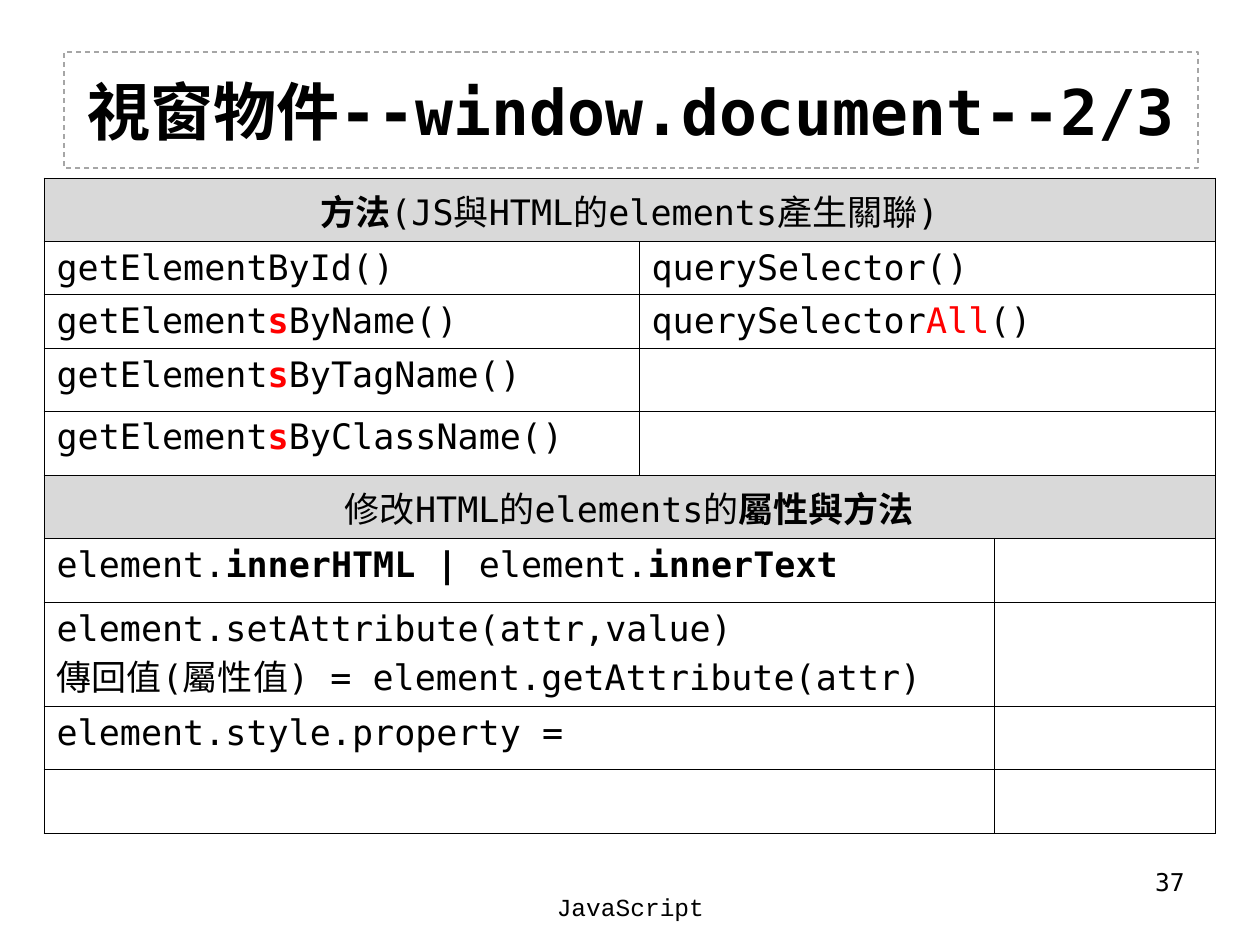
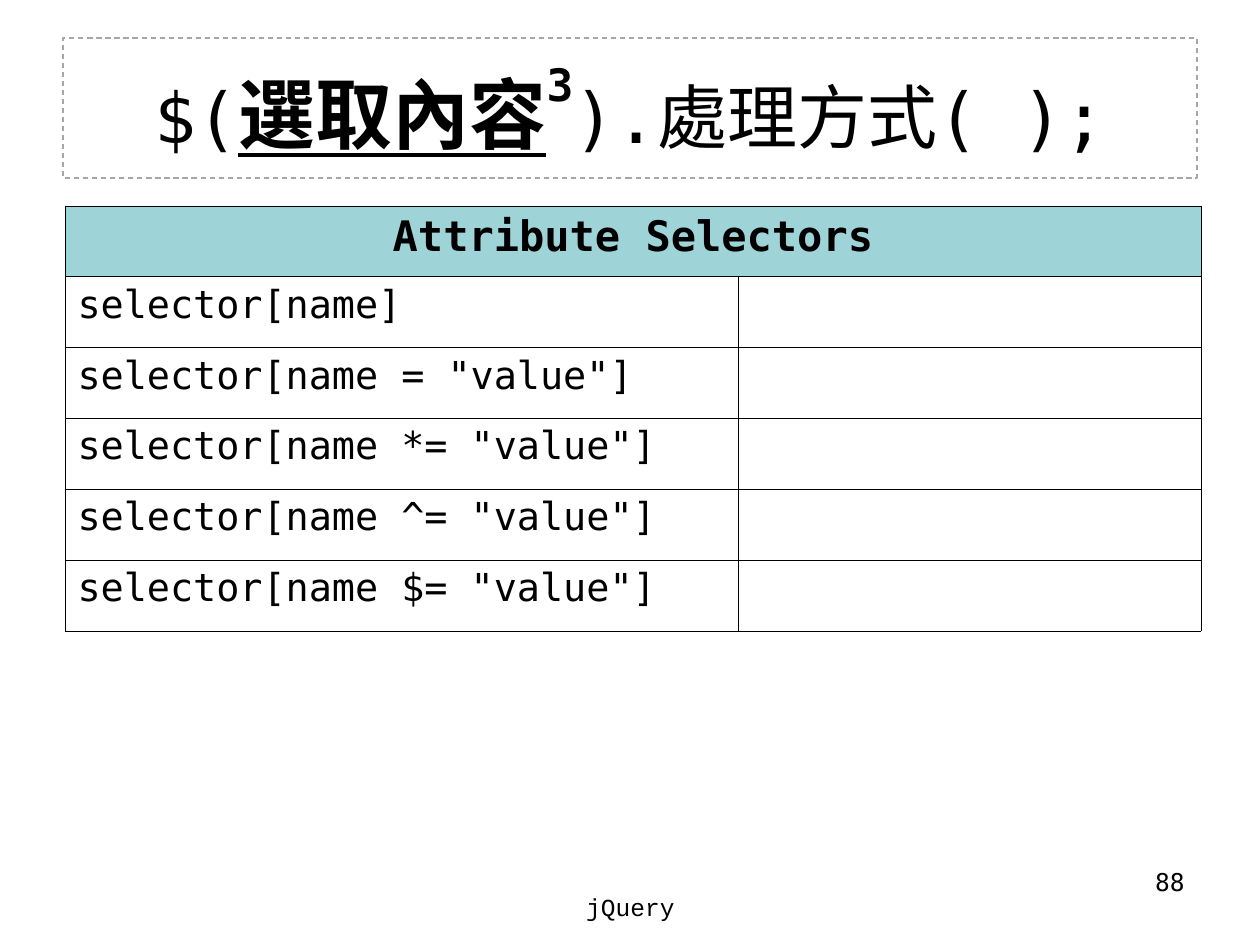
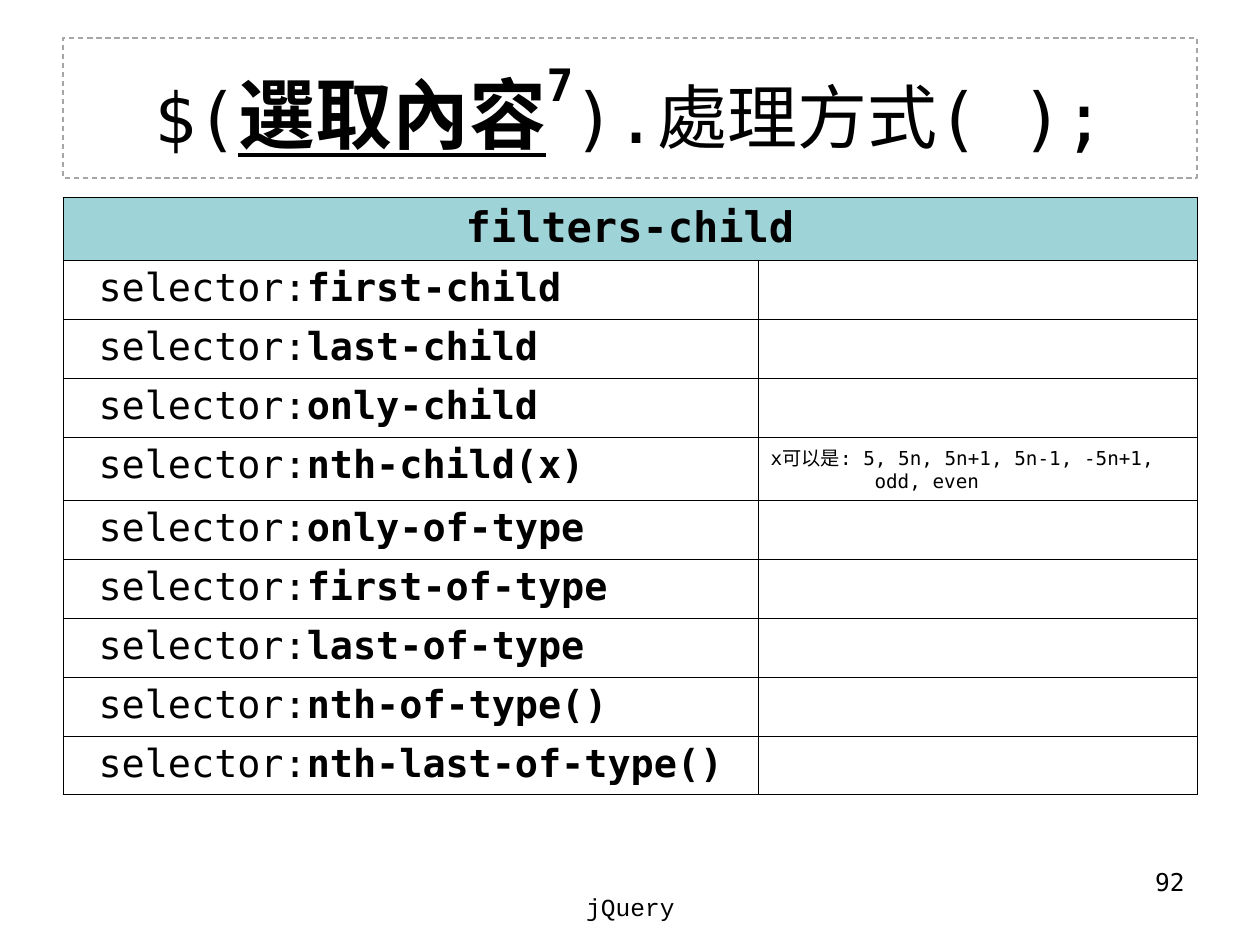
from collections import namedtuple

from pptx import Presentation
from pptx.dml.color import RGBColor
from pptx.enum.dml import MSO_LINE
from pptx.enum.text import MSO_ANCHOR, MSO_AUTO_SIZE, PP_ALIGN
from pptx.oxml import parse_xml
from pptx.oxml.ns import nsdecls
from pptx.util import Pt

PX = 914400 // 126
MONO = "DejaVu Sans Mono"
COURIER = "Courier New"
BLACK = RGBColor(0x00, 0x00, 0x00)
RED = RGBColor(0xFF, 0x00, 0x00)
DASH_GRAY = RGBColor(0xA6, 0xA6, 0xA6)
SECTION_GRAY = RGBColor(0xD9, 0xD9, 0xD9)
HEADER_TEAL = RGBColor(0x9E, 0xD3, 0xD7)
BORDER_WIDTH = Pt(0.45)

Run = namedtuple("Run", "text bold color size underline raised",
                 defaults=(False, BLACK, None, False, None))
Row = namedtuple("Row", "cells split fill", defaults=(1, None))


def px(*lengths):
    return [length * PX for length in lengths]


def write_paragraph(paragraph, runs, size, align=PP_ALIGN.LEFT, font=MONO, indent=0):
    paragraph.alignment = align
    if indent:
        properties = paragraph._p.get_or_add_pPr()
        properties.set("marL", str(indent * PX))
        properties.set("indent", "0")
    paragraph.font.name = font
    paragraph.font.size = Pt(size)
    for part in runs:
        run = paragraph.add_run()
        run.text = part.text
        run.font.name = font
        run.font.size = Pt(part.size or size)
        run.font.bold = part.bold
        run.font.underline = part.underline
        run.font.color.rgb = part.color
        if part.raised:
            run._r.get_or_add_rPr().set("baseline", str(part.raised * 1000))


def add_title(slide, box, runs, size):
    title = slide.shapes.title
    title.left, title.top, title.width, title.height = px(*box)
    title.line.color.rgb = DASH_GRAY
    title.line.width = Pt(0.75)
    title.line.dash_style = MSO_LINE.DASH
    frame = title.text_frame
    frame.auto_size = MSO_AUTO_SIZE.NONE
    frame.word_wrap = True
    frame.vertical_anchor = MSO_ANCHOR.MIDDLE
    write_paragraph(frame.paragraphs[0], runs, size, PP_ALIGN.CENTER)


def add_selector_title(slide, number):
    add_title(slide, (63, 38, 1134, 140), [
        Run("$("),
        Run("選取內容", bold=True, size=44, underline=True),
        Run(number, bold=True, size=44, raised=54),
        Run(").處理方式( );"),
    ], 40)


def add_label(slide, box, text, align, font):
    label = slide.shapes.add_textbox(*px(*box))
    label.text_frame.word_wrap = True
    write_paragraph(label.text_frame.paragraphs[0], [Run(text)], 14, align, font)


def add_footer(slide, page, topic):
    add_label(slide, (903, 861, 294, 66), page, PP_ALIGN.RIGHT, MONO)
    add_label(slide, (431, 886, 399, 63), topic, PP_ALIGN.CENTER, COURIER)


def style_cell(cell, fill):
    properties = cell._tc.get_or_add_tcPr()
    for side in ("lnL", "lnR", "lnT", "lnB"):
        properties.append(parse_xml(
            f'<a:{side} {nsdecls("a")} w="{BORDER_WIDTH}"><a:solidFill>'
            f'<a:srgbClr val="{BLACK}"/></a:solidFill></a:{side}>'))
    if fill is None:
        cell.fill.background()
    else:
        cell.fill.solid()
        cell.fill.fore_color.rgb = fill


def add_grid(slide, left, top, widths, heights, rows, size, header_size, indent=0):
    box = px(left, top, sum(widths), sum(heights))
    table = slide.shapes.add_table(len(heights), len(widths), *box).table
    for column, width in zip(table.columns, widths):
        column.width = width * PX
    last = len(widths) - 1
    for r, (row, height) in enumerate(zip(rows, heights)):
        table.rows[r].height = height * PX
        for c in range(len(widths)):
            style_cell(table.cell(r, c), row.fill)
        if row.fill is not None:
            spans = [(0, last)]
        else:
            spans = [(0, row.split - 1), (row.split, last)]
        for first, end in spans:
            if end > first:
                table.cell(r, first).merge(table.cell(r, end))
        for (first, _), lines in zip(spans, row.cells):
            frame = table.cell(r, first).text_frame
            for i, runs in enumerate(lines):
                paragraph = frame.add_paragraph() if i else frame.paragraphs[0]
                if row.fill is not None:
                    write_paragraph(paragraph, runs, header_size, PP_ALIGN.CENTER)
                else:
                    write_paragraph(paragraph, runs, size, indent=indent)
    return table


def header_row(*runs, fill=HEADER_TEAL):
    return Row([[runs]], fill=fill)


def elements_by(kind):
    return [[Run("getElement"), Run("s", bold=True, color=RED), Run(f"By{kind}()")]]


def element_row(*lines):
    return Row([lines], split=2)


def build_document_slide(slide):
    add_title(slide, (64, 52, 1134, 116),
              [Run("視窗物件--window.document--2/3", bold=True)], 36)
    rows = [
        header_row(Run("方法", bold=True), Run("(JS與HTML的elements產生關聯)"),
                   fill=SECTION_GRAY),
        Row([[[Run("getElementById()")]], [[Run("querySelector()")]]]),
        Row([elements_by("Name"),
             [[Run("querySelector"), Run("All", color=RED), Run("()")]]]),
        Row([elements_by("TagName")]),
        Row([elements_by("ClassName")]),
        header_row(Run("修改HTML的elements的"), Run("屬性與方法", bold=True),
                   fill=SECTION_GRAY),
        element_row([Run("element."), Run("innerHTML | ", bold=True),
                     Run("element."), Run("innerText", bold=True)]),
        element_row([Run("element.setAttribute(attr,value)")],
                    [Run("傳回值(屬性值) = element.getAttribute(attr)")]),
        element_row([Run("element.style.property =")]),
        element_row(),
    ]
    heights = [63, 53, 53, 63, 64, 63, 64, 104, 63, 64]
    add_grid(slide, 44, 178, [595, 355, 221], heights, rows, 20, 20)
    add_footer(slide, "37", "JavaScript")


def build_attribute_slide(slide):
    add_selector_title(slide, "3")
    conditions = ["", ' = "value"', ' *= "value"', ' ^= "value"', ' $= "value"']
    rows = [header_row(Run("Attribute Selectors", bold=True))]
    rows += [Row([[[Run(f"selector[name{condition}]")]]]) for condition in conditions]
    heights = [70] + [71] * len(conditions)
    add_grid(slide, 65, 206, [673, 463], heights, rows, 22, 24)
    add_footer(slide, "88", "jQuery")


def build_child_filter_slide(slide):
    add_selector_title(slide, "7")
    filters = ["first-child", "last-child", "only-child", "nth-child(x)",
               "only-of-type", "first-of-type", "last-of-type",
               "nth-of-type()", "nth-last-of-type()"]
    rows = [header_row(Run("filters-child", bold=True))]
    rows += [Row([[[Run("selector:"), Run(name, bold=True)]]]) for name in filters]
    nth_row = filters.index("nth-child(x)") + 1
    heights = [63] + [59] * len(filters)
    heights[nth_row] = 63
    table = add_grid(slide, 63, 197, [695, 439], heights, rows, 22, 24, indent=23)
    note = table.cell(nth_row, 1).text_frame
    write_paragraph(note.paragraphs[0],
                    [Run("x可以是: 5, 5n, 5n+1, 5n-1, -5n+1,")], 11)
    write_paragraph(note.add_paragraph(), [Run("odd, even")], 11, indent=104)
    add_footer(slide, "92", "jQuery")


def main():
    deck = Presentation()
    deck.slide_width, deck.slide_height = px(1260, 945)
    title_only = deck.slide_layouts[5]
    for build in (build_document_slide, build_attribute_slide, build_child_filter_slide):
        build(deck.slides.add_slide(title_only))
    deck.save("out.pptx")


if __name__ == "__main__":
    main()
